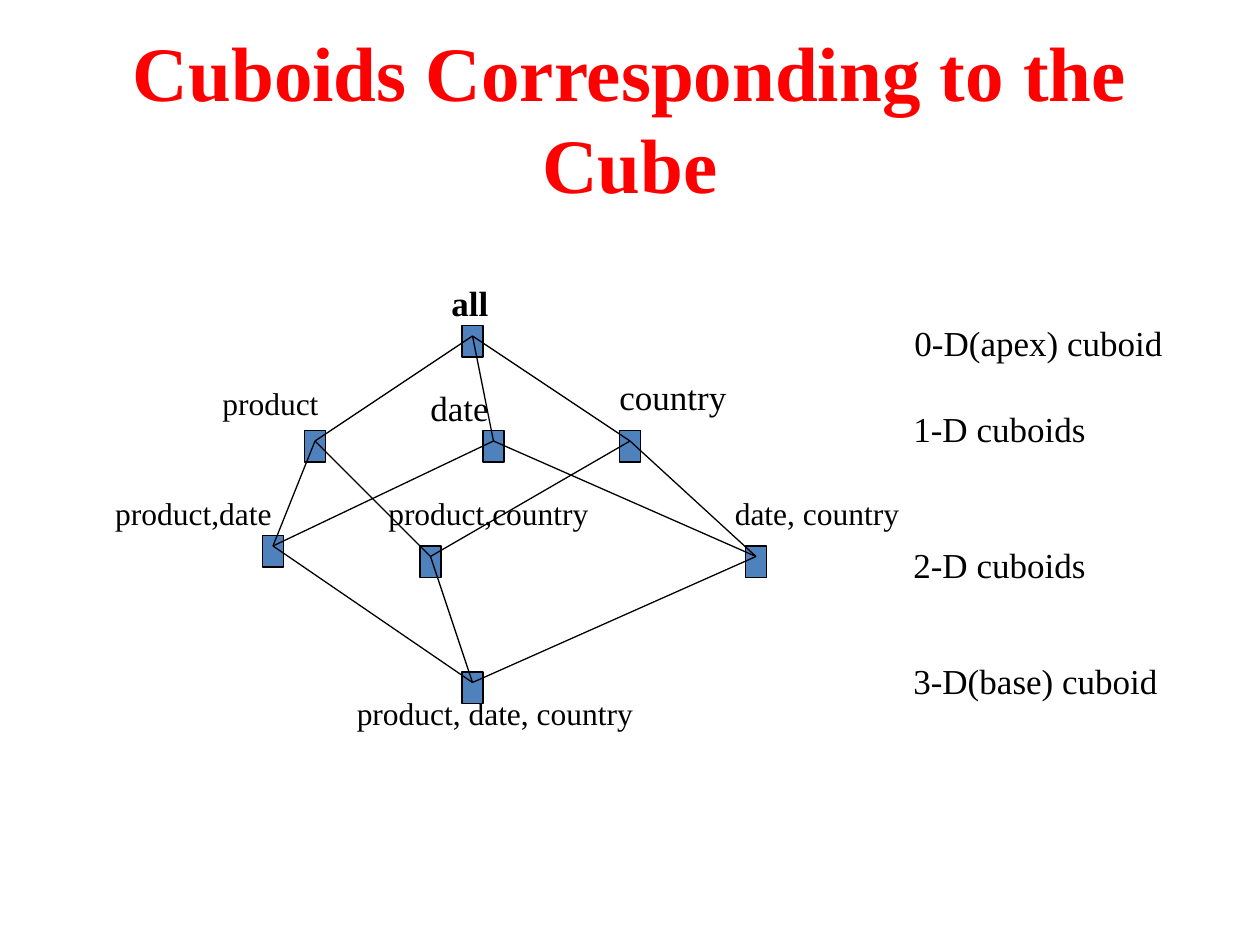
from typing import NamedTuple

from lxml import etree
from pptx import Presentation
from pptx import util as u
from pptx.dml.color import RGBColor
from pptx.enum import shapes, text
from pptx.oxml.ns import qn

PX = u.Inches(1) // 120
FONT = "Times New Roman"
BLACK, RED, BLUE = "000000", "FF0000", "4F81BD"
NODE_W, NODE_H, HUB = 20, 30, 10


class Label(NamedTuple):
    text: str
    x: int
    y: int
    w: int
    size: int = 18
    bold: bool = False


class Node(NamedTuple):
    x: int
    y: int
    label: Label
    children: tuple[str, ...] = ()


CUBOIDS = {
    "all": Node(450, 320, Label("all", 418, 262, 59, 20, True), ("p", "c", "d")),
    "p": Node(300, 420, Label("product", 200, 360, 116), ("pd", "pc")),
    "d": Node(470, 420, Label("date", 398, 362, 81, 20), ("pd", "dc")),
    "c": Node(600, 420, Label("country", 578, 352, 126, 20), ("pc", "dc")),
    "pd": Node(260, 520, Label("product,date", 98, 465, 173), ("base",)),
    "pc": Node(410, 530, Label("product,country", 358, 465, 215), ("base",)),
    "dc": Node(720, 530, Label("date, country", 688, 465, 181), ("base",)),
    "base": Node(450, 650, Label("product, date, country", 328, 655, 288)),
}
LEVELS = [
    Label("0-D(apex) cuboid", 859, 300, 261, 20),
    Label("1-D cuboids", 858, 382, 188, 20),
    Label("2-D cuboids", 858, 512, 188, 20),
    Label("3-D(base) cuboid", 858, 622, 257, 20),
]


def px(*lengths: int) -> list[int]:
    """Turn px lengths into EMU."""
    return [n * PX for n in lengths]


def rgb(value: str) -> RGBColor:
    """Turn a hex string into a colour."""
    return RGBColor.from_string(value)


def style(p, size: int, color: str, bold: bool) -> None:
    """Format every run of a paragraph."""
    for r in p.runs:
        r.font.name, r.font.size, r.font.bold = FONT, u.Pt(size), bold
        r.font.color.rgb = rgb(color)


def outline(sp) -> None:
    """Give a shape or connector its thin black line."""
    sp.line.color.rgb = rgb(BLACK)
    sp.line.width = u.Pt(0.75)


def add_title(slide, title: str) -> None:
    """Place and format the title placeholder."""
    sp = slide.shapes.title
    sp.left, sp.top, sp.width, sp.height = px(60, 36, 1080, 150)
    tf = sp.text_frame
    tf.text = title
    tf.auto_size = text.MSO_AUTO_SIZE.NONE
    tf.vertical_anchor = text.MSO_ANCHOR.MIDDLE
    p = tf.paragraphs[0]
    p.alignment = text.PP_ALIGN.CENTER
    style(p, 44, RED, True)


def add_node(slide, node: Node) -> None:
    """Draw the box of one cuboid."""
    sp = slide.shapes.add_shape(
        shapes.MSO_SHAPE.RECTANGLE,
        *px(node.x - HUB, node.y - HUB, NODE_W, NODE_H),
    )
    sp.shadow.inherit = False
    sp.fill.solid()
    sp.fill.fore_color.rgb = rgb(BLUE)
    outline(sp)


def add_edge(slide, start: Node, end: Node) -> None:
    """Join the hubs of two cuboids."""
    sp = slide.shapes.add_connector(
        shapes.MSO_CONNECTOR.STRAIGHT, *px(start.x, start.y, end.x, end.y)
    )
    outline(sp)
    etree.SubElement(sp._element.spPr, qn("a:effectLst"))


def add_label(slide, label: Label) -> None:
    """Write one label in a box that grows with its single line."""
    height = 52 if label.size == 20 else 48
    sp = slide.shapes.add_textbox(*px(label.x, label.y, label.w, height))
    tf = sp.text_frame
    tf.word_wrap = False
    tf.auto_size = text.MSO_AUTO_SIZE.SHAPE_TO_FIT_TEXT
    tf.text = label.text
    style(tf.paragraphs[0], label.size, BLACK, label.bold)


def main() -> None:
    """Build the cuboid lattice slide."""
    prs = Presentation()
    prs.slide_width, prs.slide_height = px(1200, 900)
    slide = prs.slides.add_slide(prs.slide_layouts[5])
    add_title(slide, "Cuboids Corresponding to the Cube")
    for node in CUBOIDS.values():
        add_node(slide, node)
    for node in CUBOIDS.values():
        for child in node.children:
            add_edge(slide, node, CUBOIDS[child])
    for label in [node.label for node in CUBOIDS.values()] + LEVELS:
        add_label(slide, label)
    prs.save("out.pptx")


if __name__ == "__main__":
    main()
